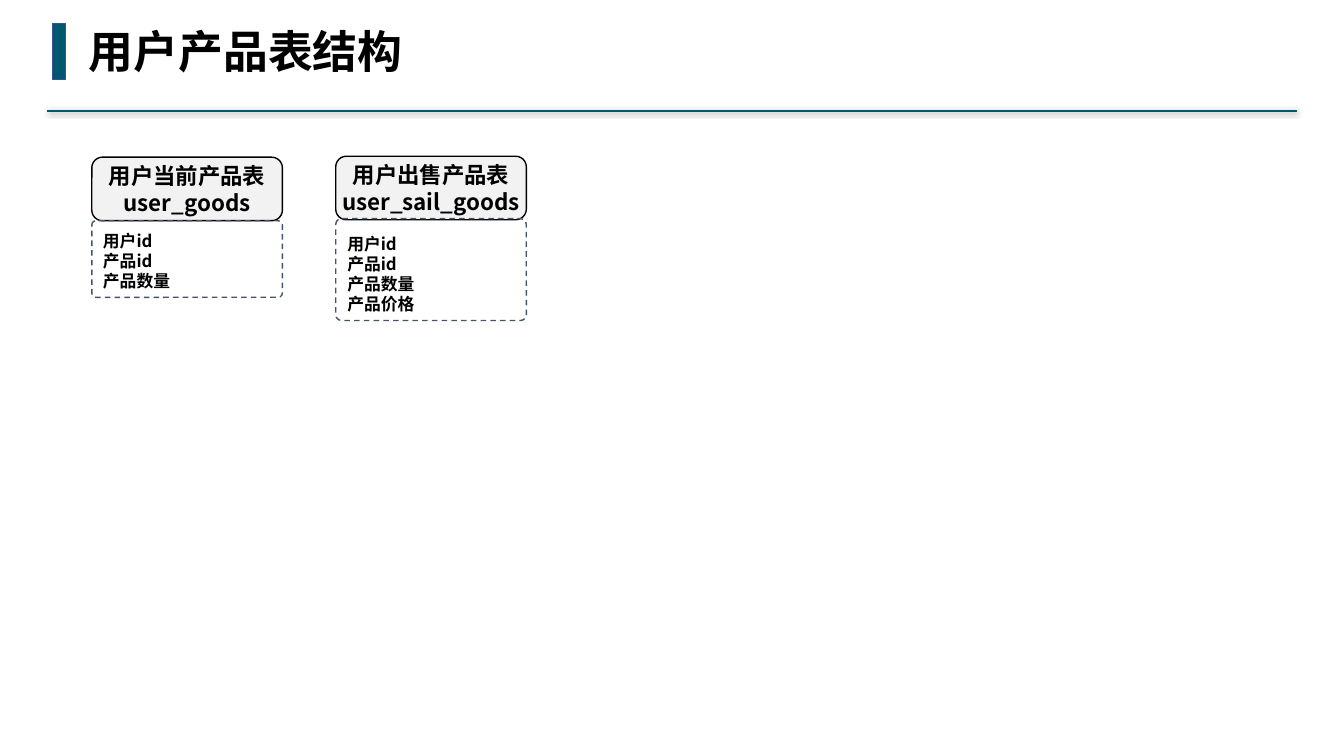
"""Build the slide that shows the field structure of the user goods tables."""
from dataclasses import dataclass

from lxml import etree
from pptx import Presentation
from pptx.dml.color import RGBColor
from pptx.enum.dml import MSO_LINE
from pptx.enum.shapes import MSO_CONNECTOR, MSO_SHAPE
from pptx.enum.text import MSO_ANCHOR, MSO_AUTO_SIZE, PP_ALIGN
from pptx.oxml import parse_xml
from pptx.oxml.ns import nsdecls, qn
from pptx.util import Inches, Pt


@dataclass(frozen=True)
class Theme:
    teal: RGBColor = RGBColor.from_string("00576E")
    bar_edge: RGBColor = RGBColor.from_string("325491")
    header_fill: RGBColor = RGBColor.from_string("F2F2F2")
    field_edge: RGBColor = RGBColor.from_string("44546A")
    black: RGBColor = RGBColor.from_string("000000")
    font: str = "Noto Sans CJK SC"
    title_font: str = "Noto Sans Mono"
    title_size: int = 32
    header_size: int = 16
    field_size: int = 12


theme = Theme()
prs = Presentation()
prs.slide_width, prs.slide_height = Inches(13.33), Inches(7.5)
slide = prs.slides.add_slide(prs.slide_layouts[5])
shapes = slide.shapes


def write(frame, lines, size, font, align):
    frame.text = "\n".join(lines)
    for paragraph in frame.paragraphs:
        paragraph.alignment = align
        for run in paragraph.runs:
            run.font.name, run.font.size, run.font.bold = font, Pt(size), True
            run.font.color.rgb = theme.black
            east_asian = etree.SubElement(run.font._element, qn("a:ea"))
            east_asian.set("typeface", theme.font)


def add_box(kind, left, top, width, height, fill, edge):
    box = shapes.add_shape(
        kind,
        round(prs.slide_width * left / 100), round(prs.slide_height * top / 100),
        round(prs.slide_width * width / 100), round(prs.slide_height * height / 100),
    )
    box.shadow.inherit = False
    if fill is None:
        box.fill.background()
    else:
        box.fill.solid()
        box.fill.fore_color.rgb = fill
    box.line.color.rgb, box.line.width = edge, Pt(1)
    return box


rule_y = round(prs.slide_height * 0.1467)
rule = shapes.add_connector(
    MSO_CONNECTOR.STRAIGHT,
    round(prs.slide_width * 0.9647), rule_y, round(prs.slide_width * 0.0353), rule_y,
)
rule.line.color.rgb, rule.line.width = theme.teal, Pt(1.5)
rule._element.spPr.append(parse_xml(
    f'<a:effectLst {nsdecls("a")}><a:outerShdw blurRad="{Pt(4)}" dist="{Pt(1)}" dir="5400000">'
    f'<a:srgbClr val="{theme.black}"><a:alpha val="40000"/></a:srgbClr></a:outerShdw></a:effectLst>'
))

add_box(MSO_SHAPE.RECTANGLE, 3.9, 3.07, 0.98, 7.47, theme.teal, theme.bar_edge)

title = shapes.title
title.left, title.top = round(prs.slide_width * 0.0585), round(prs.slide_height * 0.0253)
title.width, title.height = round(prs.slide_width * 0.2505), round(prs.slide_height * 0.0853)
write(title.text_frame, ["用户产品表结构"], theme.title_size, theme.title_font, PP_ALIGN.LEFT)
title.text_frame.word_wrap = False
title.text_frame.auto_size = MSO_AUTO_SIZE.SHAPE_TO_FIT_TEXT
title.text_frame.vertical_anchor = MSO_ANCHOR.TOP

tables = [
    (20.8, 29.2, 10.13, ["用户当前产品表", "user_goods"], ["用户id", "产品id", "产品数量"]),
    (20.67, 28.93, 13.47, ["用户出售产品表", "user_sail_goods"],
     ["用户id", "产品id", "产品数量", "产品价格"]),
]
first_left, pitch, table_width, header_height = 6.83, 18.15, 14.18, 8.4

for column, (header_top, fields_top, fields_height, names, fields) in enumerate(tables):
    left = first_left + column * pitch
    header = add_box(MSO_SHAPE.ROUNDED_RECTANGLE, left, header_top, table_width,
                     header_height, theme.header_fill, theme.black)
    frame = header.text_frame
    write(frame, names, theme.header_size, theme.font, PP_ALIGN.CENTER)
    frame.word_wrap, frame.vertical_anchor = False, MSO_ANCHOR.MIDDLE
    frame.margin_left = frame.margin_right = Inches(0.04)
    frame.margin_top = frame.margin_bottom = Inches(0.04)

    body = add_box(MSO_SHAPE.ROUNDED_RECTANGLE, left, fields_top, table_width,
                   fields_height, None, theme.field_edge)
    body.adjustments[0] = 0.055
    body.line.dash_style = MSO_LINE.DASH
    write(body.text_frame, fields, theme.field_size, theme.font, PP_ALIGN.LEFT)
    body.text_frame.word_wrap = True
    body.text_frame.vertical_anchor = MSO_ANCHOR.BOTTOM

prs.save("out.pptx")
